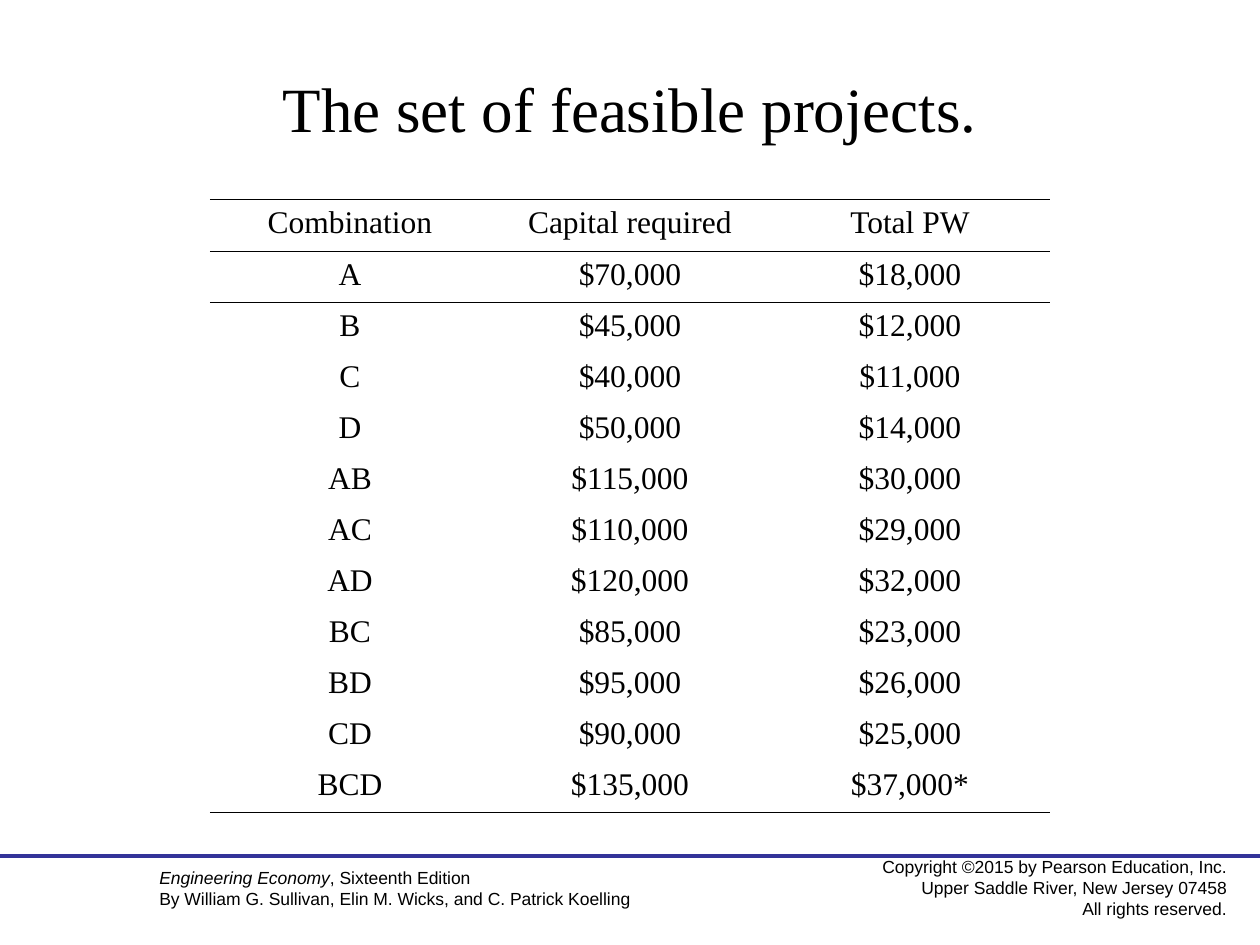
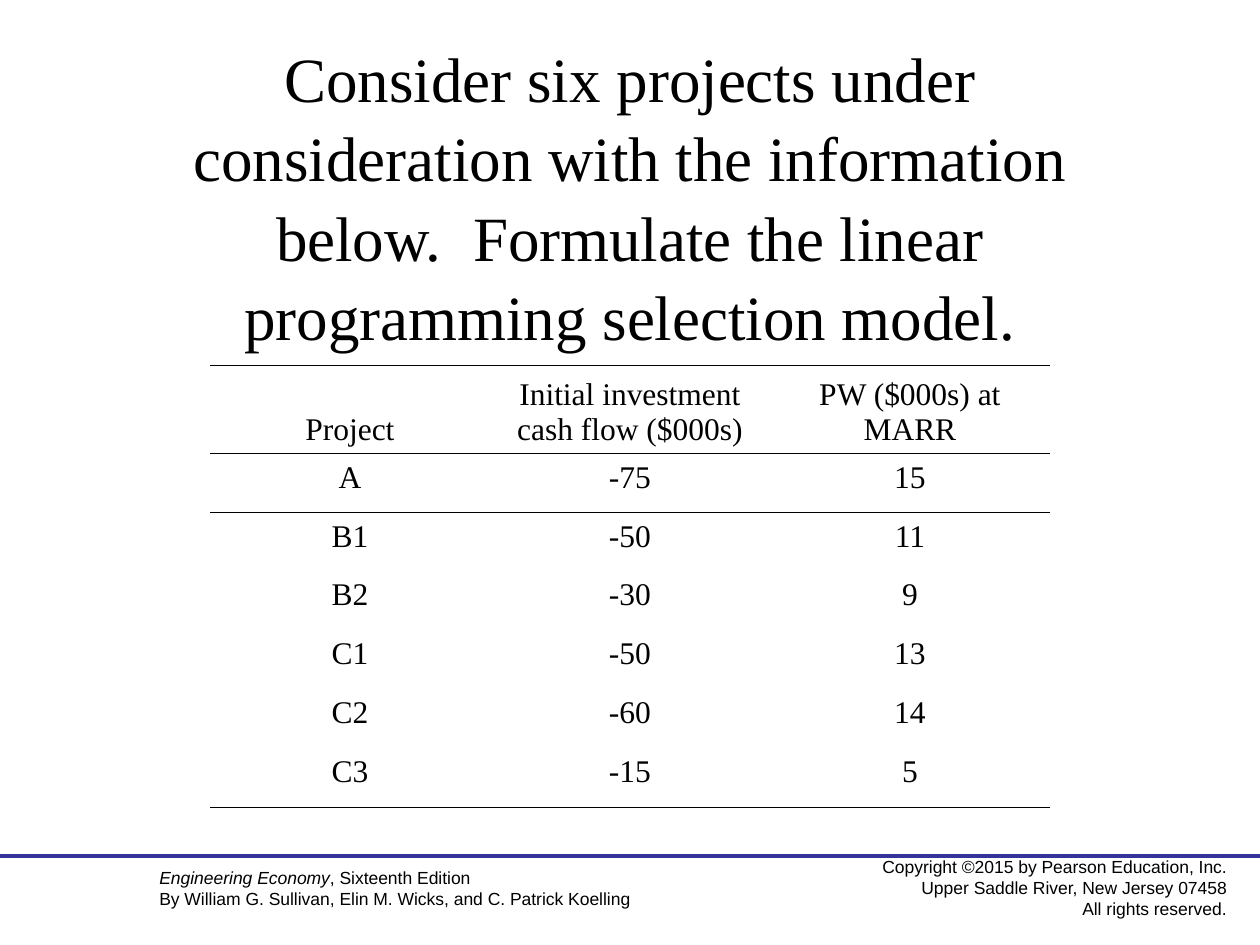
"""Build two slides of project tables that share one title style and footer."""
import dataclasses

import lxml.etree
import pptx
import pptx.dml.color
import pptx.enum.shapes
import pptx.enum.text
import pptx.oxml.ns
import pptx.util

PX = pptx.util.Inches(1) // 120
ALIGN = pptx.enum.text.PP_ALIGN
ANCHOR = pptx.enum.text.MSO_ANCHOR
NO_GRID_STYLE = "{2D5ABB26-0587-4C30-8999-92F81FD0307C}"


@dataclasses.dataclass(frozen=True)
class Theme:
    ink: str = "000000"
    rule: str = "333399"
    serif: str = "Times New Roman"
    sans: str = "Arial"
    title_size: int = 36
    table_size: int = 18
    footer_size: int = 10
    title_spacing: float = 1.05
    rule_width: float = 2.25
    border_width: float = 0.45


THEME = Theme()

COPYRIGHT = [
    [("Copyright ©2015 by Pearson Education, Inc.", False)],
    [("Upper Saddle River, New Jersey 07458", False)],
    [("All rights reserved.", False)],
]
BOOK = [
    [("Engineering Economy", True), (", Sixteenth Edition", False)],
    [("By William G. Sullivan, Elin M. Wicks, and C. Patrick Koelling", False)],
]

FEASIBLE_PROJECTS = [
    ("Combination", "Capital required", "Total PW"),
    ("A", "$70,000", "$18,000"),
    ("B", "$45,000", "$12,000"),
    ("C", "$40,000", "$11,000"),
    ("D", "$50,000", "$14,000"),
    ("AB", "$115,000", "$30,000"),
    ("AC", "$110,000", "$29,000"),
    ("AD", "$120,000", "$32,000"),
    ("BC", "$85,000", "$23,000"),
    ("BD", "$95,000", "$26,000"),
    ("CD", "$90,000", "$25,000"),
    ("BCD", "$135,000", "$37,000*"),
]
SIX_PROJECTS = [
    ("Project", "Initial investment cash flow ($000s)", "PW ($000s) at MARR"),
    ("A", "-75", "15"),
    ("B1", "-50", "11"),
    ("B2", "-30", "9"),
    ("C1", "-50", "13"),
    ("C2", "-60", "14"),
    ("C3", "-15", "5"),
]


def px(*lengths):
    return [length * PX for length in lengths]


def add_span(para, text, font, size, italic=False):
    span = para.add_run()
    span.text = text
    span.font.name = font
    span.font.size = pptx.util.Pt(size)
    span.font.italic = italic
    span.font.color.rgb = pptx.dml.color.RGBColor.from_string(THEME.ink)


def add_text(slide, place, lines, font, size, align, anchor, spacing=1.0):
    frame = slide.shapes.add_textbox(*px(*place)).text_frame
    frame.word_wrap = True
    frame.vertical_anchor = anchor
    for index, line in enumerate(lines):
        para = frame.add_paragraph() if index else frame.paragraphs[0]
        para.alignment = align
        para.line_spacing = spacing
        for text, italic in line:
            add_span(para, text, font, size, italic)


def add_title(slide, place, text):
    add_text(slide, place, [[(text, False)]], THEME.serif, THEME.title_size,
             ALIGN.CENTER, ANCHOR.MIDDLE, THEME.title_spacing)


def add_footer(slide):
    add_text(slide, (800, 810, 380, 71), COPYRIGHT, THEME.sans,
             THEME.footer_size, ALIGN.RIGHT, ANCHOR.MIDDLE)
    add_text(slide, (140, 820, 600, 53), BOOK, THEME.sans,
             THEME.footer_size, ALIGN.LEFT, ANCHOR.TOP)
    rule = slide.shapes.add_connector(
        pptx.enum.shapes.MSO_CONNECTOR.STRAIGHT, *px(0, 815, 1200, 815))
    rule.line.color.rgb = pptx.dml.color.RGBColor.from_string(THEME.rule)
    rule.line.width = pptx.util.Pt(THEME.rule_width)
    lxml.etree.SubElement(rule._element.spPr, pptx.oxml.ns.qn("a:effectLst"))


def add_border(cell, side):
    qn = pptx.oxml.ns.qn
    border = lxml.etree.SubElement(
        cell._tc.get_or_add_tcPr(), qn(f"a:ln{side}"),
        w=str(int(pptx.util.Pt(THEME.border_width))))
    fill = lxml.etree.SubElement(border, qn("a:solidFill"))
    lxml.etree.SubElement(fill, qn("a:srgbClr"), val=THEME.ink)


def add_ruled_table(slide, top, height, header_height, header_anchor, rows):
    width, last = 800, len(rows) - 1
    table = slide.shapes.add_table(
        len(rows), len(rows[0]), *px(200, top, width, height)).table
    table.first_row = table.horz_banding = False
    table._tbl.tblPr.find(pptx.oxml.ns.qn("a:tableStyleId")).text = NO_GRID_STYLE
    for column in table.columns:
        column.width = width * PX // len(rows[0])
    for index, values in enumerate(rows):
        body_height = (height - header_height) * PX // last
        table.rows[index].height = body_height if index else header_height * PX
        for column, text in enumerate(values):
            cell = table.cell(index, column)
            if index <= 1:
                add_border(cell, "T")
            if index in (0, last):
                add_border(cell, "B")
            cell.fill.background()
            cell.vertical_anchor = ANCHOR.TOP if index else header_anchor
            para = cell.text_frame.paragraphs[0]
            para.alignment = ALIGN.CENTER
            add_span(para, text, THEME.serif, THEME.table_size)


def add_slide(deck):
    slide = deck.slides.add_slide(deck.slide_layouts[6])
    add_footer(slide)
    return slide


def main():
    deck = pptx.Presentation()
    deck.slide_width, deck.slide_height = px(1200, 900)

    slide = add_slide(deck)
    add_title(slide, (90, 50, 1020, 100), "The set of feasible projects.")
    add_ruled_table(slide, 190, 584, 49, ANCHOR.TOP, FEASIBLE_PROJECTS)

    slide = add_slide(deck)
    add_title(slide, (90, 80, 1020, 210),
              "Consider six projects under consideration with the information "
              "below.  Formulate the linear programming selection model.")
    add_ruled_table(slide, 348, 421, 84, ANCHOR.BOTTOM, SIX_PROJECTS)

    deck.save("out.pptx")


if __name__ == "__main__":
    main()
